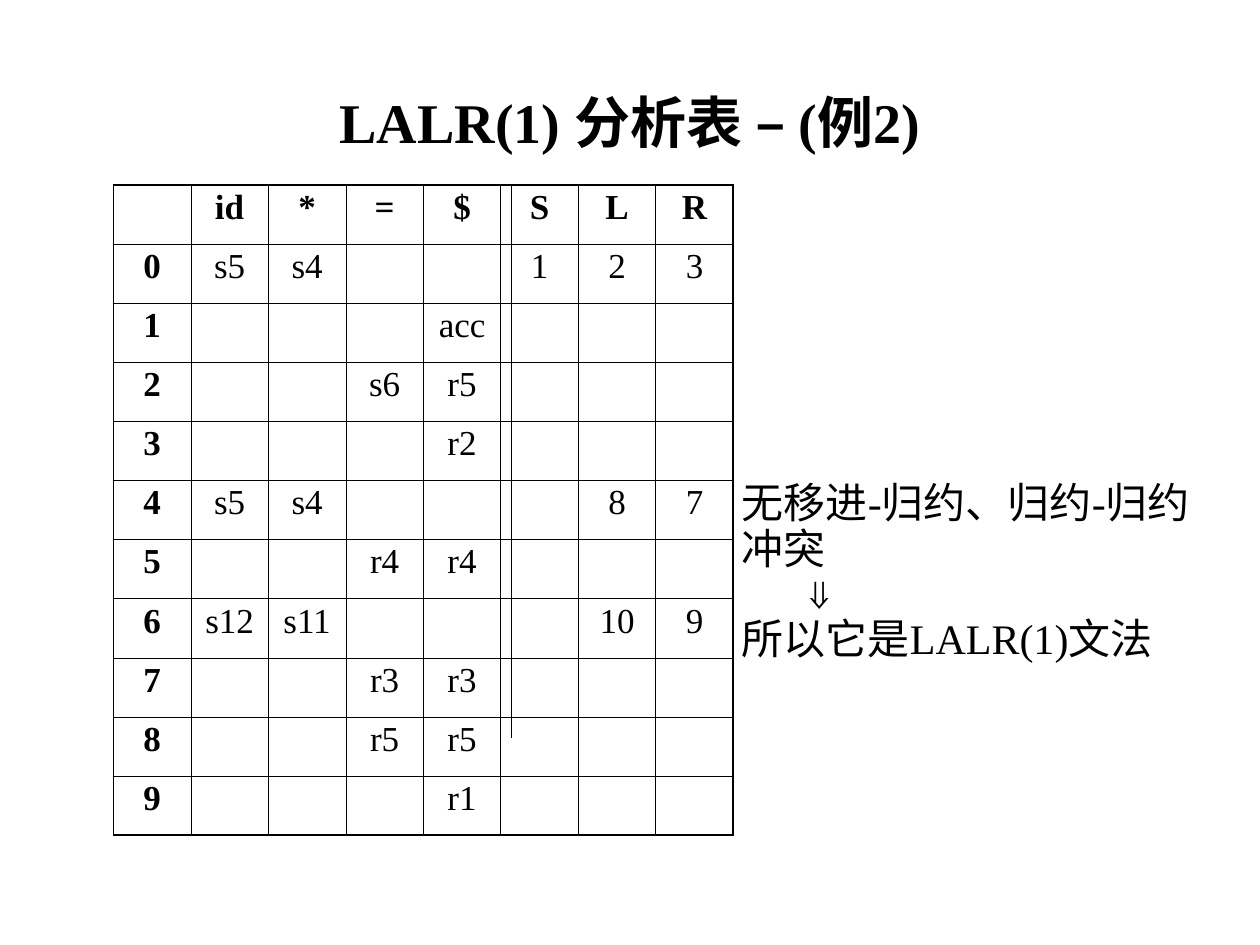
from lxml.etree import SubElement
from pptx import Presentation
from pptx.dml.color import RGBColor
from pptx.enum.shapes import MSO_CONNECTOR
from pptx.enum.text import MSO_ANCHOR, MSO_AUTO_SIZE, PP_ALIGN
from pptx.oxml.ns import qn
from pptx.util import Inches, Pt

BLACK = RGBColor(0x00, 0x00, 0x00)
FONT = "Times New Roman"
THIN, THICK = 0.45, 1.08

PARSE_TABLE = [
    ["", "id", "*", "=", "$", "S", "L", "R"],
    ["0", "s5", "s4", "", "", "1", "2", "3"],
    ["1", "", "", "", "acc", "", "", ""],
    ["2", "", "", "s6", "r5", "", "", ""],
    ["3", "", "", "", "r2", "", "", ""],
    ["4", "s5", "s4", "", "", "", "8", "7"],
    ["5", "", "", "r4", "r4", "", "", ""],
    ["6", "s12", "s11", "", "", "", "10", "9"],
    ["7", "", "", "r3", "r3", "", "", ""],
    ["8", "", "", "r5", "r5", "", "", ""],
    ["9", "", "", "", "r1", "", "", ""],
]
CONCLUSION = ["无移进-归约、归约-归约", "冲突", "\t⇓", "所以它是LALR(1)文法"]


def style(font, size, bold=False, name=FONT):
    font.name = name
    font.size = Pt(size)
    font.bold = bold
    font.color.rgb = BLACK


def set_borders(cell, widths):
    """Draw the borders, given as widths in points: left, right, top, bottom."""
    tcPr = cell._tc.get_or_add_tcPr()
    for i, (side, width) in enumerate(zip(("lnL", "lnR", "lnT", "lnB"), widths)):
        ln = tcPr.makeelement(qn("a:" + side), {"w": str(int(Pt(width)))})
        fill = SubElement(ln, qn("a:solidFill"))
        SubElement(fill, qn("a:srgbClr"), val=str(BLACK))
        tcPr.insert(i, ln)


def add_title(s, left, top, width, height):
    title = s.shapes.title
    title.left, title.top = Inches(left), Inches(top)
    title.width, title.height = Inches(width), Inches(height)
    tf = title.text_frame
    tf.text = "LALR(1) 分析表 – (例2)"
    tf.vertical_anchor = MSO_ANCHOR.MIDDLE
    p = tf.paragraphs[0]
    p.alignment = PP_ALIGN.CENTER
    style(p.runs[0].font, 32, bold=True)


def add_parse_table(s, left, top, width, height):
    rows, cols = len(PARSE_TABLE), len(PARSE_TABLE[0])
    table = s.shapes.add_table(rows, cols, Inches(left), Inches(top),
                               Inches(width), Inches(height)).table
    table.first_row = table.horz_banding = False
    for r, texts in enumerate(PARSE_TABLE):
        for c, text in enumerate(texts):
            cell = table.cell(r, c)
            cell.fill.background()
            edges = (c == 0, c == cols - 1, r == 0, r == rows - 1)
            set_borders(cell, [THICK if edge else THIN for edge in edges])
            cell.text = text
            p = cell.text_frame.paragraphs[0]
            p.alignment = PP_ALIGN.CENTER
            p.line_spacing = 0.9
            style(p.font, 20)
            for run in p.runs:
                style(run.font, 20, bold=r == 0 or c == 0)


def add_divider(s, x, top, bottom):
    """Separate the action columns from the goto columns."""
    line = s.shapes.add_connector(MSO_CONNECTOR.STRAIGHT, Inches(x), Inches(top),
                                  Inches(x), Inches(bottom))
    line.line.color.rgb = BLACK
    line.line.width = Pt(0.75)
    SubElement(line._element.spPr, qn("a:effectLst"))


def add_conclusion(s, left, top, width, height):
    box = s.shapes.add_textbox(Inches(left), Inches(top), Inches(width), Inches(height))
    tf = box.text_frame
    tf.word_wrap = False
    tf.auto_size = MSO_AUTO_SIZE.SHAPE_TO_FIT_TEXT
    tf.text = "\n".join(CONCLUSION)
    for p in tf.paragraphs:
        p.line_spacing = 0.9
        for run in p.runs:
            style(run.font, 24, name="Arial" if "⇓" in run.text else FONT)


def main():
    prs = Presentation()
    prs.slide_width, prs.slide_height = Inches(10), Inches(7.5)
    s = prs.slides.add_slide(prs.slide_layouts[5])
    add_title(s, 0.75, 0.68, 8.5, 0.56)
    add_parse_table(s, 0.9, 1.47, 4.92, 5.16)
    add_divider(s, 4.06, 1.47, 5.86)
    add_conclusion(s, 5.79, 3.78, 4.07, 1.54)
    prs.save("out.pptx")


if __name__ == "__main__":
    main()
